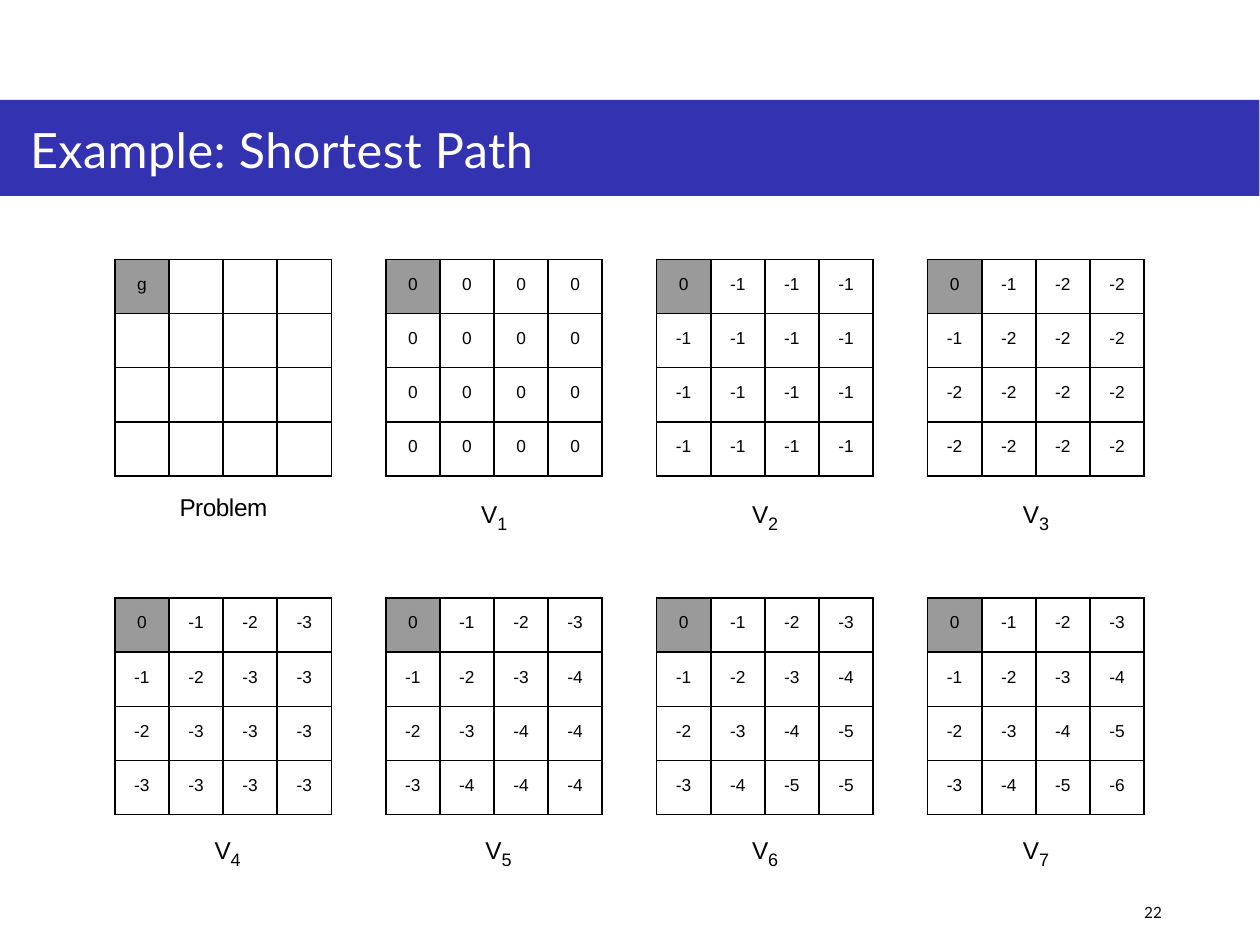
from dataclasses import dataclass
from typing import Any

from lxml import etree
from pptx import Presentation
from pptx.dml.color import RGBColor
from pptx.enum.text import MSO_ANCHOR, MSO_AUTO_SIZE, PP_ALIGN
from pptx.oxml.ns import qn
from pptx.util import Inches, Pt

LEFT, CENTER = PP_ALIGN.LEFT, PP_ALIGN.CENTER
TOP, MIDDLE = MSO_ANCHOR.TOP, MSO_ANCHOR.MIDDLE
NO_AUTOFIT = MSO_AUTO_SIZE.NONE

WIDTH, HEIGHT = Pt(363), Pt(272.5)
TITLE_ONLY_LAYOUT = 5
SIZE = 4
COLUMNS = 4
COLUMN_PITCH = 5
ROW_PITCH = 6.25
CAPTION_DROPS = (4.2, 4.16)
CAPTION_SHIFTS = {4: 0.08, 5: 0.08}
CAPTION_HEIGHT = 0.65
BORDERS = ("a:lnL", "a:lnR", "a:lnT", "a:lnB")


@dataclass(frozen=True)
class TextStyle:
    font: str
    size: float
    color: RGBColor
    spacing: int = 0
    baseline: int = 0


@dataclass(frozen=True)
class Theme:
    bar: RGBColor = RGBColor(0x33, 0x33, 0xB2)
    goal: RGBColor = RGBColor(0x9A, 0x9A, 0x9A)
    border: str = "000000"
    border_width: int = Pt(0.5)
    title: TextStyle = TextStyle("Lato", 14, RGBColor(255, 255, 255), 10)
    value: TextStyle = TextStyle("Arial", 5, RGBColor(0, 0, 0))
    caption: TextStyle = TextStyle("Arial", 7, RGBColor(0, 0, 0), -10)
    subscript: TextStyle = TextStyle("Arial", 9, RGBColor(0, 0, 0), -10, -23000)
    number: TextStyle = TextStyle("Calibri", 5, RGBColor(0x0D, 0x0D, 0x0D))


@dataclass(frozen=True)
class ValueGrid:
    position: int
    values: list[list[str]]
    caption: str
    subscript: str = ""


THEME = Theme()


def across(percent: float) -> int:
    return round(WIDTH * percent / 100)


def down(percent: float) -> int:
    return round(HEIGHT * percent / 100)


CELL = across(4.3)
GRID_LEFT, GRID_TOP = across(9.12), down(27.42)


def cells(count: float) -> int:
    return round(CELL * count)


def apply(target: Any, values: dict[str, Any]) -> None:
    for name, value in values.items():
        setattr(target, name, value)


def margins(left: int = 0, top: int = 0) -> dict[str, int]:
    return {"margin_left": left, "margin_top": top, "margin_right": 0, "margin_bottom": 0}


def add_run(paragraph: Any, text: str, style: TextStyle) -> None:
    run = paragraph.add_run()
    run.text = text
    apply(run.font, {"name": style.font, "size": Pt(style.size), "bold": False})
    run.font.color.rgb = style.color
    properties = run.font._element
    for name, value in {"spc": style.spacing, "baseline": style.baseline}.items():
        if value:
            properties.set(name, str(value))


def add_title(slide: Any, text: str) -> None:
    title = slide.shapes.title
    apply(title, {"left": 0, "top": down(10.57), "width": across(99.96), "height": down(10.15)})
    title.fill.solid()
    title.fill.fore_color.rgb = THEME.bar
    frame = title.text_frame
    apply(frame, {"vertical_anchor": TOP, "auto_size": NO_AUTOFIT, "word_wrap": True,
                  **margins(Inches(0.12), Inches(0.08))})
    paragraph = frame.paragraphs[0]
    paragraph.alignment = LEFT
    add_run(paragraph, text, THEME.title)


def add_borders(cell: Any) -> None:
    properties = cell._tc.get_or_add_tcPr()
    for index, tag in enumerate(BORDERS):
        line = etree.Element(qn(tag), w=str(THEME.border_width))
        fill = etree.SubElement(line, qn("a:solidFill"))
        etree.SubElement(fill, qn("a:srgbClr"), val=THEME.border)
        properties.insert(index, line)


def fill_cell(cell: Any, text: str, is_goal: bool) -> None:
    apply(cell, {"vertical_anchor": TOP, **margins(top=Inches(0.06))})
    if is_goal:
        cell.fill.solid()
        cell.fill.fore_color.rgb = THEME.goal
    else:
        cell.fill.background()
    add_borders(cell)
    paragraph = cell.text_frame.paragraphs[0]
    paragraph.alignment = CENTER
    if text:
        add_run(paragraph, text, THEME.value)
    else:
        etree.SubElement(paragraph._p, qn("a:endParaRPr"), sz=str(THEME.value.size * 100))


def add_grid(slide: Any, grid: ValueGrid) -> None:
    row, column = divmod(grid.position, COLUMNS)
    left = GRID_LEFT + cells(column * COLUMN_PITCH)
    top = GRID_TOP + cells(row * ROW_PITCH)
    side = cells(SIZE)
    table = slide.shapes.add_table(SIZE, SIZE, left, top, side, side).table
    apply(table, {"first_row": False, "horz_banding": False})
    for row_index, values in enumerate(grid.values):
        for column_index, text in enumerate(values):
            is_goal = row_index == column_index == 0
            fill_cell(table.cell(row_index, column_index), text, is_goal)

    caption_left = left + cells(CAPTION_SHIFTS.get(grid.position, 0))
    caption_top = top + cells(CAPTION_DROPS[row])
    caption = slide.shapes.add_textbox(caption_left, caption_top, side, cells(CAPTION_HEIGHT))
    frame = caption.text_frame
    apply(frame, {"word_wrap": True, **margins(top=Inches(0.02))})
    paragraph = frame.paragraphs[0]
    paragraph.alignment = CENTER
    add_run(paragraph, grid.caption, THEME.caption)
    if grid.subscript:
        add_run(paragraph, grid.subscript, THEME.subscript)


def add_slide_number(slide: Any, text: str) -> None:
    box = slide.shapes.add_textbox(across(88.86), down(94.33), across(7.94), down(3.96))
    apply(box.text_frame, {"word_wrap": True, "vertical_anchor": MIDDLE})
    add_run(box.text_frame.paragraphs[0], text, THEME.number)


def problem_values() -> list[list[str]]:
    return [["g" if row == column == 0 else "" for column in range(SIZE)] for row in range(SIZE)]


def iteration_values(iteration: int) -> list[list[str]]:
    return [[str(-min(row + column, iteration - 1)) for column in range(SIZE)]
            for row in range(SIZE)]


def main() -> None:
    presentation = Presentation()
    presentation.slide_width = WIDTH
    presentation.slide_height = HEIGHT
    slide = presentation.slides.add_slide(presentation.slide_layouts[TITLE_ONLY_LAYOUT])
    add_title(slide, "Example: Shortest Path")
    add_grid(slide, ValueGrid(0, problem_values(), "Problem"))
    for iteration in range(1, 8):
        add_grid(slide, ValueGrid(iteration, iteration_values(iteration), "V", str(iteration)))
    add_slide_number(slide, "22")
    presentation.save("out.pptx")


if __name__ == "__main__":
    main()
